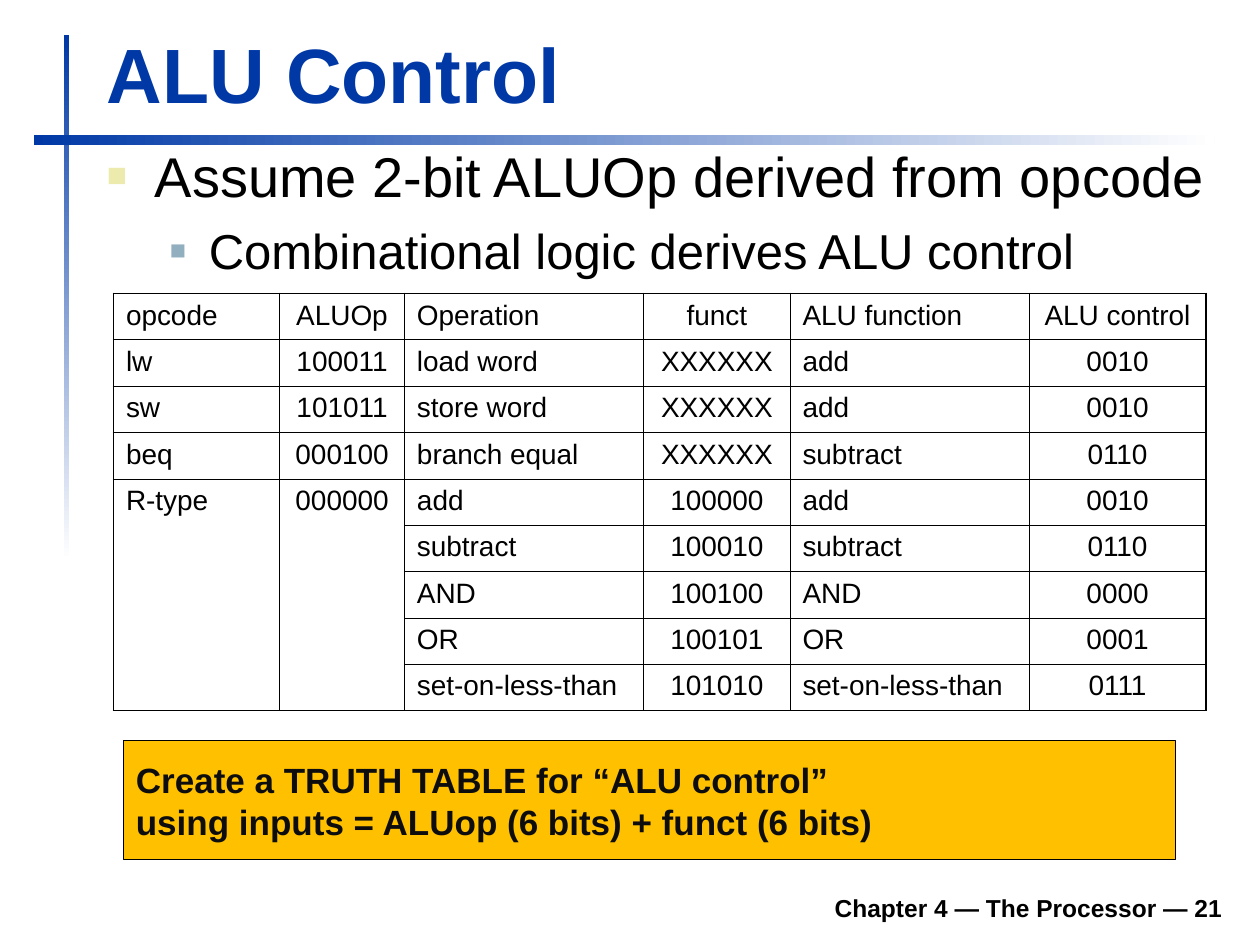
from lxml import etree
from pptx import Presentation, util as u
from pptx.dml.color import RGBColor
from pptx.enum import shapes, text
from pptx.oxml.ns import qn

INK = {"blue": "0039A6", "white": "FFFFFF", "black": "000000", "gold": "FFC000",
       "dark": "0D0D0D", "lime": "ECEAAC", "steel": "91AFBF"}
FONT = "Arial"

BARS = [((0.51, 0.28, 0.04, 4.17), 270), ((0.27, 1.07, 9.37, 0.08), 0)]
TITLE = "ALU Control"
FOOT = "Chapter 4 — The Processor — 21"
POINTS = [
    dict(words="Assume 2-bit ALUOp derived from opcode", size=32, level=0,
         left=0.38, hang=0.38, gap=0, tint="lime", scale=60),
    dict(words="Combinational logic derives ALU control", size=28, level=1,
         left=0.81, hang=0.31, gap=7, tint="steel", scale=55),
]
NOTE = ["Create a TRUTH TABLE for “ALU control”",
        "using inputs = ALUop (6 bits) + funct (6 bits)"]

COLS = [1.32, 0.99, 1.9, 1.16, 1.9, 1.4]
ROWS = [
    ("opcode", "ALUOp", "Operation", "funct", "ALU function", "ALU control"),
    ("lw", "100011", "load word", "XXXXXX", "add", "0010"),
    ("sw", "101011", "store word", "XXXXXX", "add", "0010"),
    ("beq", "000100", "branch equal", "XXXXXX", "subtract", "0110"),
    ("R-type", "000000", "add", "100000", "add", "0010"),
    ("", "", "subtract", "100010", "subtract", "0110"),
    ("", "", "AND", "100100", "AND", "0000"),
    ("", "", "OR", "100101", "OR", "0001"),
    ("", "", "set-on-less-than", "101010", "set-on-less-than", "0111"),
]
SPAN = 4  # first row of the merged R-type cells
THICK, RULE, THIN = 1.08, 0.75, 0.45


def rgb(name):
    return RGBColor.from_string(INK[name])


def inches(box):
    return [u.Inches(v) for v in box]


def style(para, size, ink="black", bold=False, align=text.PP_ALIGN.LEFT):
    look = {"name": FONT, "size": u.Pt(size), "bold": bold}
    for key, val in look.items():
        setattr(para.font, key, val)
    para.font.color.rgb = rgb(ink)
    para.alignment = align


def frame(shape, anchor):
    body = shape.text_frame
    body.word_wrap = True
    body.vertical_anchor = anchor
    return body


def label(slide, box, anchor):
    return frame(slide.shapes.add_textbox(*inches(box)), anchor)


def block(slide, box):
    shape = slide.shapes.add_shape(shapes.MSO_SHAPE.RECTANGLE, *inches(box))
    shape.shadow.inherit = False
    return shape


def bullet(para, point):
    props = para._p.get_or_add_pPr()
    props.set("marL", str(u.Inches(point["left"])))
    props.set("indent", str(-u.Inches(point["hang"])))
    tint = etree.SubElement(props, qn("a:buClr"))
    etree.SubElement(tint, qn("a:srgbClr"), val=INK[point["tint"]])
    etree.SubElement(props, qn("a:buSzPct"), val=str(point["scale"] * 1000))
    etree.SubElement(props, qn("a:buFont"), typeface=FONT)
    etree.SubElement(props, qn("a:buChar"), char="■")


def edges(cell, widths):
    """Draw the cell's borders; widths maps L, R, T, B to points."""
    props = cell._tc.get_or_add_tcPr()
    for spot, (side, width) in enumerate(widths.items()):
        line = etree.Element(qn("a:ln" + side), w=str(u.Pt(width)))
        fill = etree.SubElement(line, qn("a:solidFill"))
        etree.SubElement(fill, qn("a:srgbClr"), val=INK["black"])
        props.insert(spot, line)


def rule(row):
    """Width of the horizontal line above the given row."""
    return {0: THICK, 1: RULE, len(ROWS): THICK}.get(row, THIN)


def add_grid(slide):
    box = inches((0.9, 2.33, sum(COLS), 3.31))
    grid = slide.shapes.add_table(len(ROWS), len(COLS), *box).table
    grid.first_row = grid.horz_banding = False
    for col, width in zip(grid.columns, COLS):
        col.width = u.Inches(width)
    last = len(ROWS) - 1
    for c in range(2):
        grid.cell(SPAN, c).merge(grid.cell(last, c))
    for r, row in enumerate(ROWS):
        for c, words in enumerate(row):
            cell = grid.cell(r, c)
            cell.fill.background()
            widths = {"L": THIN if c else THICK,
                      "R": THIN if c < len(COLS) - 1 else THICK}
            if not cell.is_spanned:
                low = last if cell.is_merge_origin else r
                widths.update(T=rule(r), B=rule(low + 1))
            elif r == last:
                widths["B"] = THICK
            edges(cell, widths)
            para = cell.text_frame.paragraphs[0]
            para.text = words
            align = text.PP_ALIGN.CENTER if c % 2 else text.PP_ALIGN.LEFT
            style(para, 16, align=align)


def main():
    deck = Presentation()
    deck.slide_width, deck.slide_height = inches((10, 7.5))
    slide = deck.slides.add_slide(deck.slide_layouts[6])

    for box, angle in BARS:
        bar = block(slide, box)
        bar.line.fill.background()
        bar.fill.gradient()
        bar.fill.gradient_angle = angle
        for stop, ink in zip(bar.fill.gradient_stops, ("blue", "white")):
            stop.color.rgb = rgb(ink)

    low = text.MSO_ANCHOR.BOTTOM
    for box, words, size, ink, align in [
        ((1.85, 6.98, 7.95, 0.39), FOOT, 14, "black", text.PP_ALIGN.RIGHT),
        ((0.75, 0.16, 9.03, 0.83), TITLE, 44, "blue", text.PP_ALIGN.LEFT),
    ]:
        para = label(slide, box, low).paragraphs[0]
        para.text = words
        style(para, size, ink, True, align)

    body = label(slide, (0.75, 1.07, 9.04, 5.59), text.MSO_ANCHOR.TOP)
    for i, point in enumerate(POINTS):
        para = body.add_paragraph() if i else body.paragraphs[0]
        para.text = point["words"]
        para.level = point["level"]
        bullet(para, point)
        para.space_before = u.Pt(point["gap"])
        style(para, point["size"])

    add_grid(slide)

    note = block(slide, (0.98, 5.88, 8.35, 0.94))
    note.fill.solid()
    note.fill.fore_color.rgb = rgb("gold")
    note.line.color.rgb = rgb("black")
    note.line.width = u.Pt(RULE)
    body = frame(note, text.MSO_ANCHOR.MIDDLE)
    for i, words in enumerate(NOTE):
        para = body.add_paragraph() if i else body.paragraphs[0]
        para.text = words
        style(para, 20, "dark", True)

    deck.save("out.pptx")


if __name__ == "__main__":
    main()
